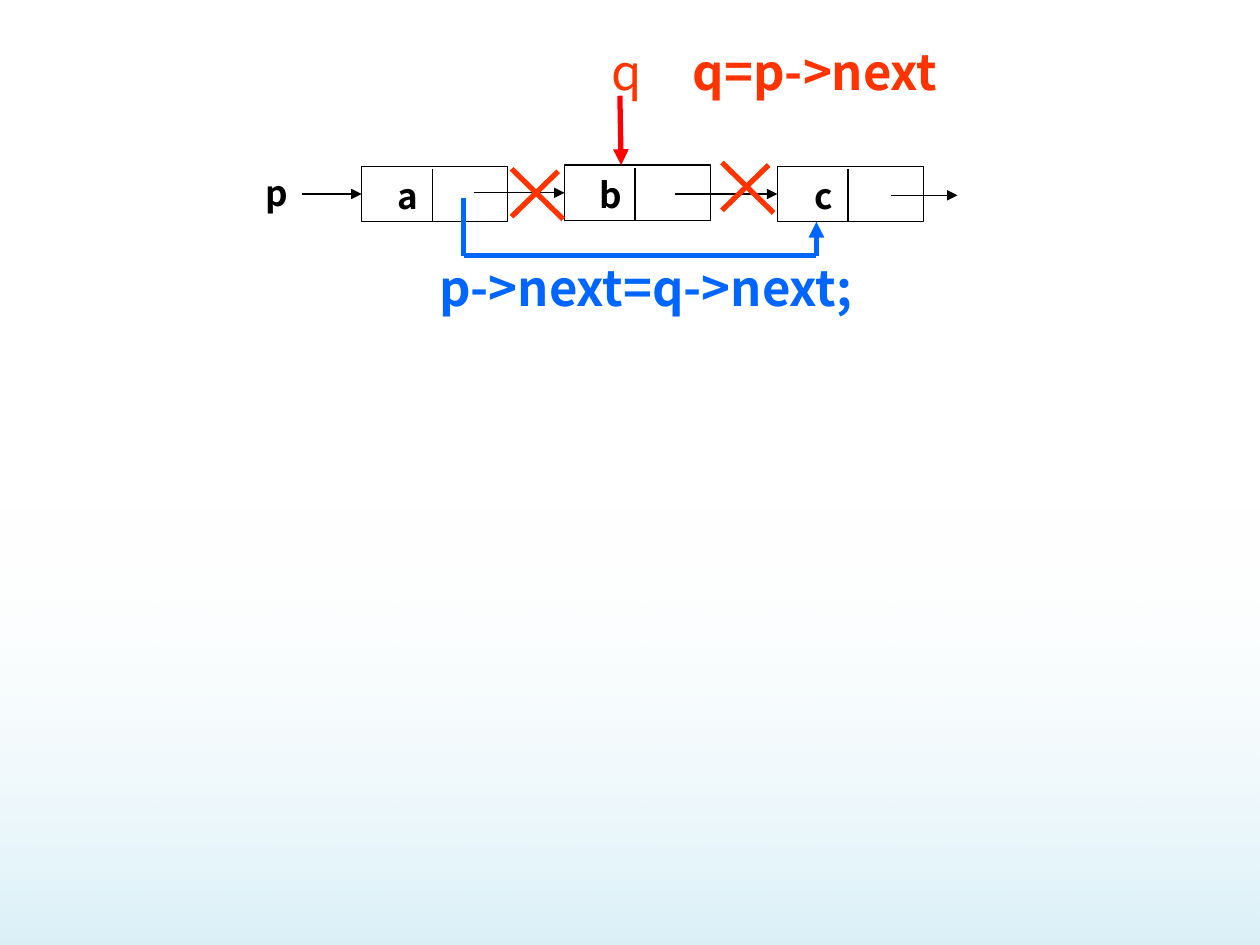
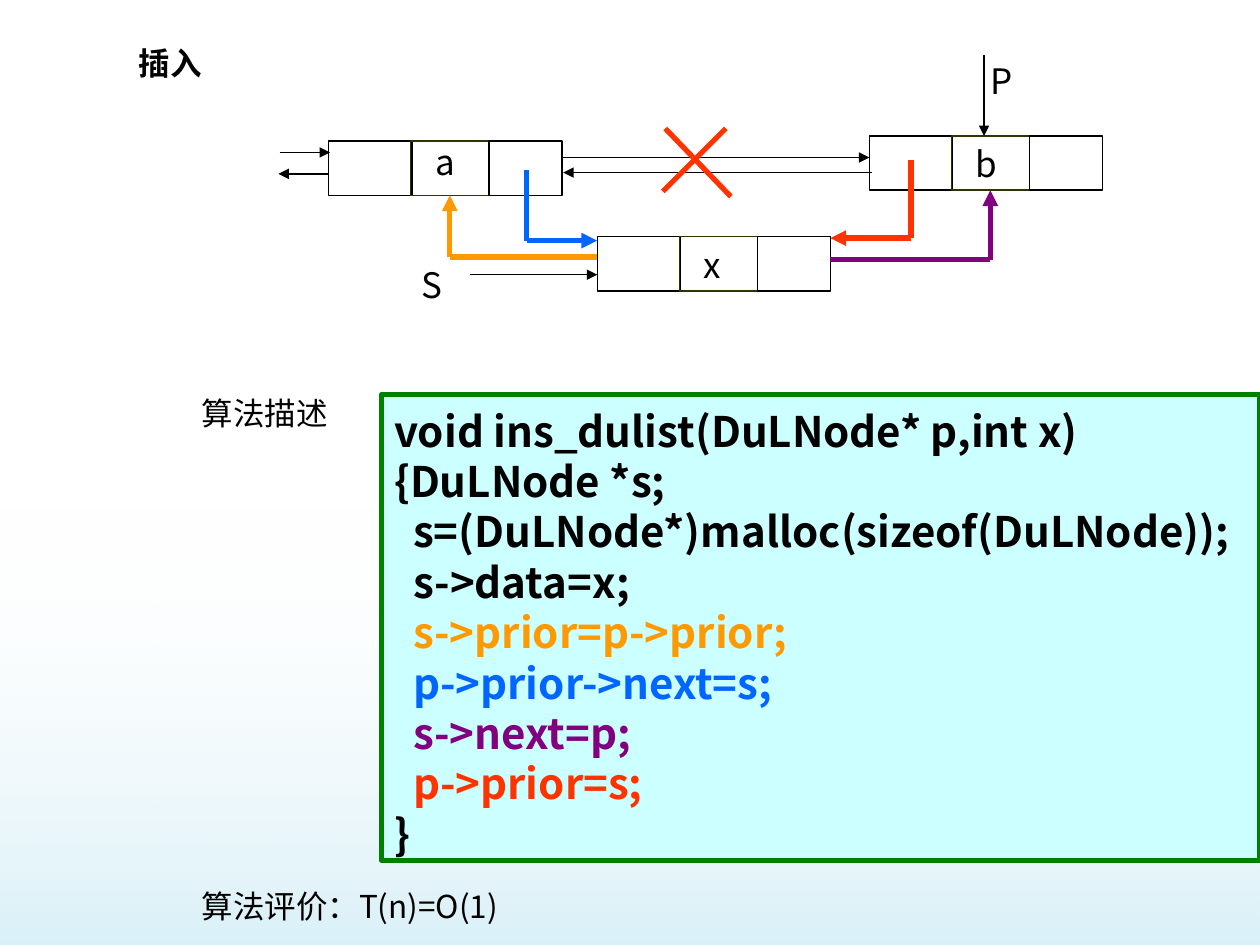
from lxml import etree
from pptx import Presentation
from pptx.dml.color import RGBColor
from pptx.enum.shapes import MSO_CONNECTOR, MSO_SHAPE
from pptx.enum.text import MSO_ANCHOR, MSO_AUTO_SIZE, PP_ALIGN
from pptx.oxml.ns import qn
from pptx.util import Inches, Pt

RECT = MSO_SHAPE.RECTANGLE
STRAIGHT = MSO_CONNECTOR.STRAIGHT
LEFT, CENTER = PP_ALIGN.LEFT, PP_ALIGN.CENTER
TOP, MIDDLE = MSO_ANCHOR.TOP, MSO_ANCHOR.MIDDLE
NO_FIT = MSO_AUTO_SIZE.NONE
TOP_SIDE, LEFT_SIDE, BOTTOM_SIDE = 0, 1, 2
TITLE_ONLY, BLANK = 5, 6
FONT = "Noto Sans CJK KR"
COLORS = {
    "black": "000000", "white": "FFFFFF", "olive": "333300", "sky": "0099CC",
    "blue": "0066FF", "orange": "FF9900", "purple": "800080",
    "scarlet": "FF3300", "red": "FF0000", "green": "008000", "cyan": "CCFFFF",
}


def rgb(name):
    """Return the named colour."""
    return RGBColor.from_string(COLORS[name])


class Deck:
    """Holds the shared style and the current slide."""

    def __init__(self):
        """Start a 4:3 presentation."""
        self.prs = Presentation()
        self.prs.slide_width, self.prs.slide_height = Inches(10), Inches(7.5)
        self.s = None

    def slide(self, layout):
        """Add a slide and make it current."""
        self.s = self.prs.slides.add_slide(self.prs.slide_layouts[layout])

    def band(self):
        """Put the fading band on the slide master, behind everything."""
        sp = self.rect(0, 3.9, 10, 3.6, line=None)
        sp.fill.gradient()
        sp.fill.gradient_angle = 270
        for stop, name in zip(sp.fill.gradient_stops, ("white", "sky")):
            stop.color.rgb = rgb(name)
        gradient = sp.element.spPr.find(qn("a:gradFill"))
        for color, alpha in zip(gradient.iter(qn("a:srgbClr")), (0, 15000)):
            etree.SubElement(color, qn("a:alpha")).set("val", str(alpha))
        self.prs.slide_master.shapes.element.insert(2, sp.element)

    def rect(self, x, y, w, h, line="black", width=0.75, fill=None):
        """Draw a rectangle, hollow unless a fill is given."""
        sp = self.s.shapes.add_shape(RECT, Inches(x), Inches(y), Inches(w), Inches(h))
        sp.shadow.inherit = False
        if fill:
            sp.fill.solid()
            sp.fill.fore_color.rgb = rgb(fill)
        else:
            sp.fill.background()
        if line:
            sp.line.color.rgb = rgb(line)
            sp.line.width = Pt(width)
        else:
            sp.line.fill.background()
        return sp

    def run(self, p, text, size, color="black", bold=False):
        """Add one styled run to a paragraph."""
        r = p.add_run()
        r.text = text
        r.font.size, r.font.bold = Pt(size), bold
        r.font.color.rgb = rgb(color)
        r.font.name = FONT
        etree.SubElement(r.font._element, qn("a:ea")).set("typeface", FONT)

    def label(self, x, y, w, text, size=20, color="black", bold=False):
        """Write a centred label on one line."""
        h = 0.44 if size == 20 else 0.57
        sp = self.s.shapes.add_textbox(Inches(x), Inches(y), Inches(w), Inches(h))
        tf = sp.text_frame
        tf.word_wrap, tf.vertical_anchor = False, MIDDLE
        tf.paragraphs[0].alignment = CENTER
        self.run(tf.paragraphs[0], text, size, color, bold)

    def heading(self, y, text, indent, title=False):
        """Write an indented heading, in the title placeholder if asked."""
        place = Inches(0), Inches(y), Inches(9.3), Inches(0.48)
        if title:
            sp = self.s.shapes.title
            sp.left, sp.top, sp.width, sp.height = place
        else:
            sp = self.s.shapes.add_textbox(*place)
        tf = sp.text_frame
        tf.word_wrap, tf.auto_size, tf.vertical_anchor = True, NO_FIT, TOP
        tf.margin_left, tf.margin_top = Inches(indent + 0.1), Inches(0.02)
        tf.paragraphs[0].alignment = LEFT
        self.run(tf.paragraphs[0], text, 18, bold=title)

    def code(self, x, y, w, h, lines):
        """Show code lines in a framed box."""
        tf = self.rect(x, y, w, h, "green", 3, "cyan").text_frame
        tf.word_wrap, tf.vertical_anchor = True, MIDDLE
        tf.margin_top = Inches(0.12)
        for i, (indent, text, color) in enumerate(lines):
            p = tf.add_paragraph() if i else tf.paragraphs[0]
            p.alignment, p.line_spacing = LEFT, Pt(28.8)
            if indent:
                self.run(p, indent, 24, bold=True)
            self.run(p, text, 24, color, True)

    def line(self, start, end, color="black", width=0.75, head=False, join=None):
        """Draw a straight line, with a head or joined to a shape if asked."""
        c = self.s.shapes.add_connector(STRAIGHT, *map(Inches, start + end))
        c.line.color.rgb = rgb(color)
        c.line.width = Pt(width)
        if join:
            c.end_connect(*join)
        sp_pr = c.element.spPr
        if head:
            tail = etree.SubElement(sp_pr.find(qn("a:ln")), qn("a:tailEnd"))
            tail.set("type", "triangle")
        etree.SubElement(sp_pr, qn("a:effectLst"))

    def arrow(self, *points, color="black", width=0.75, join=None):
        """Draw an arrow through the points."""
        last = len(points) - 2
        for i, (start, end) in enumerate(zip(points, points[1:])):
            self.line(start, end, color, width, i == last, join if i == last else None)

    def cross(self, *strokes):
        """Strike out a link with two strokes."""
        for start, end in strokes:
            self.line(start, end, "scarlet", 3)

    def single_node(self, x, y, text, dx, w):
        """Draw a node with a value and a next field."""
        node = self.rect(x, y, 1.16, 0.44)
        self.line((x + 0.56, y + 0.02), (x + 0.56, y + 0.44))
        self.label(x + dx, y + 0.01, w, text, bold=True)
        return node

    def double_node(self, x, y):
        """Draw a node with three fields and return the middle one."""
        self.rect(x, y, 0.66, 0.43)
        middle = self.rect(x + 0.65, y, 0.62, 0.43, "olive")
        self.rect(x + 1.27, y, 0.58, 0.43)
        return middle


def deletion(deck):
    """Build the slide that removes a node from a singly linked list."""
    deck.slide(BLANK)
    deck.band()
    deck.label(2.01, 1.31, 0.37, "p", bold=True)
    a = deck.single_node(2.87, 1.32, "a", 0.18, 0.37)
    b = deck.single_node(4.48, 1.31, "b", 0.18, 0.37)
    c = deck.single_node(6.17, 1.32, "c", 0.2, 0.34)
    deck.arrow((2.4, 1.54), (2.87, 1.54), join=(a, LEFT_SIDE))
    deck.arrow((3.76, 1.53), (4.48, 1.53), join=(b, LEFT_SIDE))
    deck.arrow((5.36, 1.54), (6.17, 1.54), join=(c, LEFT_SIDE))
    deck.arrow((7.07, 1.55), (7.6, 1.55))
    deck.arrow((3.68, 1.57), (3.68, 2.03), (6.48, 2.03), (6.48, 1.76),
               color="blue", width=3)
    for x, y in ((4.06, 1.34), (5.73, 1.29)):
        deck.cross(((x + 0.37, y + 0.02), (x, y + 0.38)),
                   ((x, y), (x + 0.41, y + 0.4)))
    deck.label(3.37, 1.99, 3.51, "p->next=q->next;", 28, "blue", True)
    deck.arrow((4.92, 0.76), (4.93, 1.31), color="red", width=3)
    deck.label(4.72, 0.28, 0.51, "q", 28, "scarlet")
    deck.label(5.39, 0.28, 2.16, "q=p->next", 28, "scarlet", True)


def insertion(deck):
    """Build the slide that inserts a node into a doubly linked list."""
    deck.slide(TITLE_ONLY)
    deck.heading(0.33, "插入", 1, title=True)
    deck.code(3.03, 3.13, 6.97, 3.7, [
        ("", "void ins_dulist(DuLNode* p,int x)", "black"),
        ("", "{DuLNode *s;", "black"),
        ("  ", "s=(DuLNode*)malloc(sizeof(DuLNode));", "black"),
        ("  ", "s->data=x;", "black"),
        ("  ", "s->prior=p->prior;", "orange"),
        ("  ", "p->prior->next=s;", "blue"),
        ("  ", "s->next=p;", "purple"),
        ("  ", "p->prior=s;", "scarlet"),
        ("", "}", "black"),
    ])
    deck.heading(3.11, "算法描述", 1.5)
    deck.heading(7.02, "算法评价：T(n)=O(1)", 1.5)

    a = deck.double_node(2.61, 1.12)
    b = deck.double_node(6.9, 1.08)
    deck.double_node(4.74, 1.88)
    for x, y, w, text in ((3.36, 1.06, 0.35, "a"), (7.64, 1.08, 0.37, "b"),
                          (5.48, 1.88, 0.34, "x"), (3.25, 2.04, 0.35, "S"),
                          (7.76, 0.42, 0.37, "P")):
        deck.label(x, y, w, text)

    for start, end in (((2.22, 1.21), (2.62, 1.21)), ((2.61, 1.38), (2.21, 1.38)),
                       ((4.47, 1.25), (6.9, 1.25)), ((6.92, 1.37), (4.47, 1.37)),
                       ((7.81, 0.44), (7.81, 1.08)), ((3.73, 2.18), (4.74, 2.18))):
        deck.arrow(start, end)

    deck.arrow((4.18, 1.35), (4.18, 1.91), (4.74, 1.91), color="blue", width=3)
    deck.arrow((4.74, 2.04), (3.57, 2.04), (3.57, 1.55),
               color="orange", width=3, join=(a, BOTTOM_SIDE))
    deck.arrow((6.59, 2.06), (7.86, 2.06), (7.86, 1.51),
               color="purple", width=3, join=(b, BOTTOM_SIDE))
    deck.arrow((7.23, 1.27), (7.23, 1.89), (6.59, 1.89), color="scarlet", width=3)
    deck.cross(((5.76, 1.02), (5.26, 1.52)), ((5.28, 1.02), (5.8, 1.56)))


def main():
    """Build both slides and save them."""
    deck = Deck()
    deletion(deck)
    insertion(deck)
    deck.prs.save("out.pptx")


if __name__ == "__main__":
    main()
